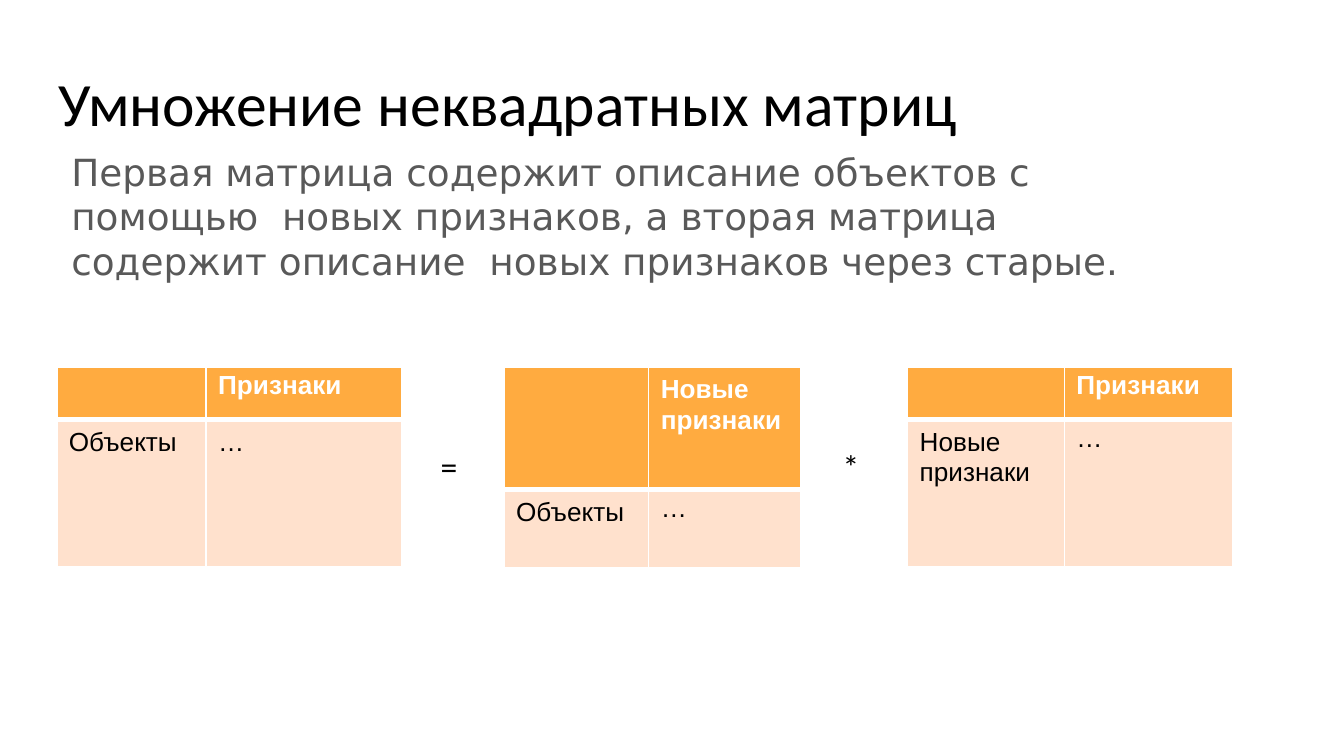
import pptx
import pptx.dml.color
import pptx.enum.text
import pptx.oxml
import pptx.oxml.ns
import pptx.util

Pt = pptx.util.Pt
MSO_ANCHOR = pptx.enum.text.MSO_ANCHOR
PP_ALIGN = pptx.enum.text.PP_ALIGN
MSO_AUTO_SIZE = pptx.enum.text.MSO_AUTO_SIZE

ORANGE, PEACH = "FFAB40", "FFE1CD"
WHITE, BLACK, GREY = "FFFFFF", "000000", "595959"


def rgb(value):
    return pptx.dml.color.RGBColor.from_string(value)


def set_margins(holder, left=0, top=0):
    holder.margin_left, holder.margin_top = Pt(left), Pt(top)
    holder.margin_right = holder.margin_bottom = Pt(0)


def format_runs(paragraph, font, size, color, bold=False):
    for run in paragraph.runs:
        run.font.name, run.font.size, run.font.bold = font, Pt(size), bold
        run.font.color.rgb = rgb(color)


def add_border(cell, side, width):
    line = pptx.oxml.parse_xml(
        f'<a:ln{side} {pptx.oxml.ns.nsdecls("a")} w="{Pt(width)}">'
        f'<a:solidFill><a:srgbClr val="{WHITE}"/></a:solidFill></a:ln{side}>')
    cell._tc.get_or_add_tcPr().append(line)


def fill_heading(slide, left, top, width, height):
    """Title and explanation share the title placeholder."""
    heading = slide.shapes.title
    heading.left, heading.top = Pt(left), Pt(top)
    heading.width, heading.height = Pt(width), Pt(height)
    frame = heading.text_frame
    frame.text = (
        "Умножение неквадратных матриц\n"
        "Первая матрица содержит описание объектов с помощью  новых признаков, "
        "а вторая матрица содержит описание  новых признаков через старые.")
    frame.word_wrap = True
    frame.auto_size = MSO_AUTO_SIZE.SHAPE_TO_FIT_TEXT
    frame.vertical_anchor = MSO_ANCHOR.MIDDLE
    set_margins(frame, top=7.2)
    styles = [("Calibri", 33, BLACK, 0.9, 7.5), ("DejaVu Sans", 20, GREY, 8, 5.2)]
    for paragraph, (font, size, color, indent, before) in zip(frame.paragraphs, styles):
        paragraph.alignment = PP_ALIGN.LEFT
        paragraph.space_before = Pt(before)
        paragraph._p.get_or_add_pPr().set("marL", str(Pt(indent)))
        format_runs(paragraph, font, size, color)


def add_matrix(slide, left, top, columns, rows, column_label, row_label,
               wrapped_header=False, body_line=None):
    """One 2 x 2 table: column label on top, row label at the left."""
    table = slide.shapes.add_table(
        2, 2, Pt(left), Pt(top), Pt(sum(columns)), Pt(sum(rows))).table
    table.first_row = table.horz_banding = False
    for column, width in zip(table.columns, columns):
        column.width = Pt(width)
    for row, height in zip(table.rows, rows):
        row.height = Pt(height)

    labels = [["", column_label], [row_label, "…"]]
    for r, row_labels in enumerate(labels):
        header = r == 0
        for c, label in enumerate(row_labels):
            cell = table.cell(r, c)
            # The line between header and body is the heavy one
            for side, width in (("L", 1), ("R", 1), ("T", 1 if header else 3),
                                ("B", 3 if header else 1)):
                add_border(cell, side, width)
            cell.fill.solid()
            cell.fill.fore_color.rgb = rgb(ORANGE if header else PEACH)
            paragraph = cell.text_frame.paragraphs[0]
            paragraph.text = label
            format_runs(paragraph, "Arial", 14, WHITE if header else BLACK, header)

            exact = c == 0 or (header and wrapped_header)
            set_margins(cell, left=6.5, top=3.6 if exact else 2.2)
            paragraph.space_before = Pt(3.2 if exact else 2.4)
            if exact:
                paragraph.line_spacing = Pt(16.5)
            elif not header and body_line:
                cell.margin_top = paragraph.space_before = Pt(0)
                paragraph.line_spacing = Pt(body_line)


def add_operator(slide, left, top, width, height, sign):
    box = slide.shapes.add_textbox(Pt(left), Pt(top), Pt(width), Pt(height))
    frame = box.text_frame
    frame.text = sign
    frame.word_wrap = False
    frame.auto_size = MSO_AUTO_SIZE.SHAPE_TO_FIT_TEXT
    format_runs(frame.paragraphs[0], "Calibri", 18, BLACK)


def main():
    presentation = pptx.Presentation()
    presentation.slide_width, presentation.slide_height = Pt(720), Pt(405)
    slide = presentation.slides.add_slide(presentation.slide_layouts[5])

    fill_heading(slide, 30.2, 31.7, 610, 116)

    # Matrix equation: objects = objects by new features * new features by old
    top = 196.6
    add_matrix(slide, 30.4, top, (80, 105), (28, 79), "Признаки", "Объекты",
               body_line=20.4)
    add_operator(slide, 229, 235.6, 24, 29, "=")
    add_matrix(slide, 270, top, (77.5, 81.5), (65.5, 42), "Новые признаки", "Объекты",
               wrapped_header=True)
    add_operator(slide, 444.3, 235.6, 24, 29, "*")
    add_matrix(slide, 486.2, top, (84, 90), (28, 79), "Признаки", "Новые признаки")

    presentation.save("out.pptx")


if __name__ == "__main__":
    main()
